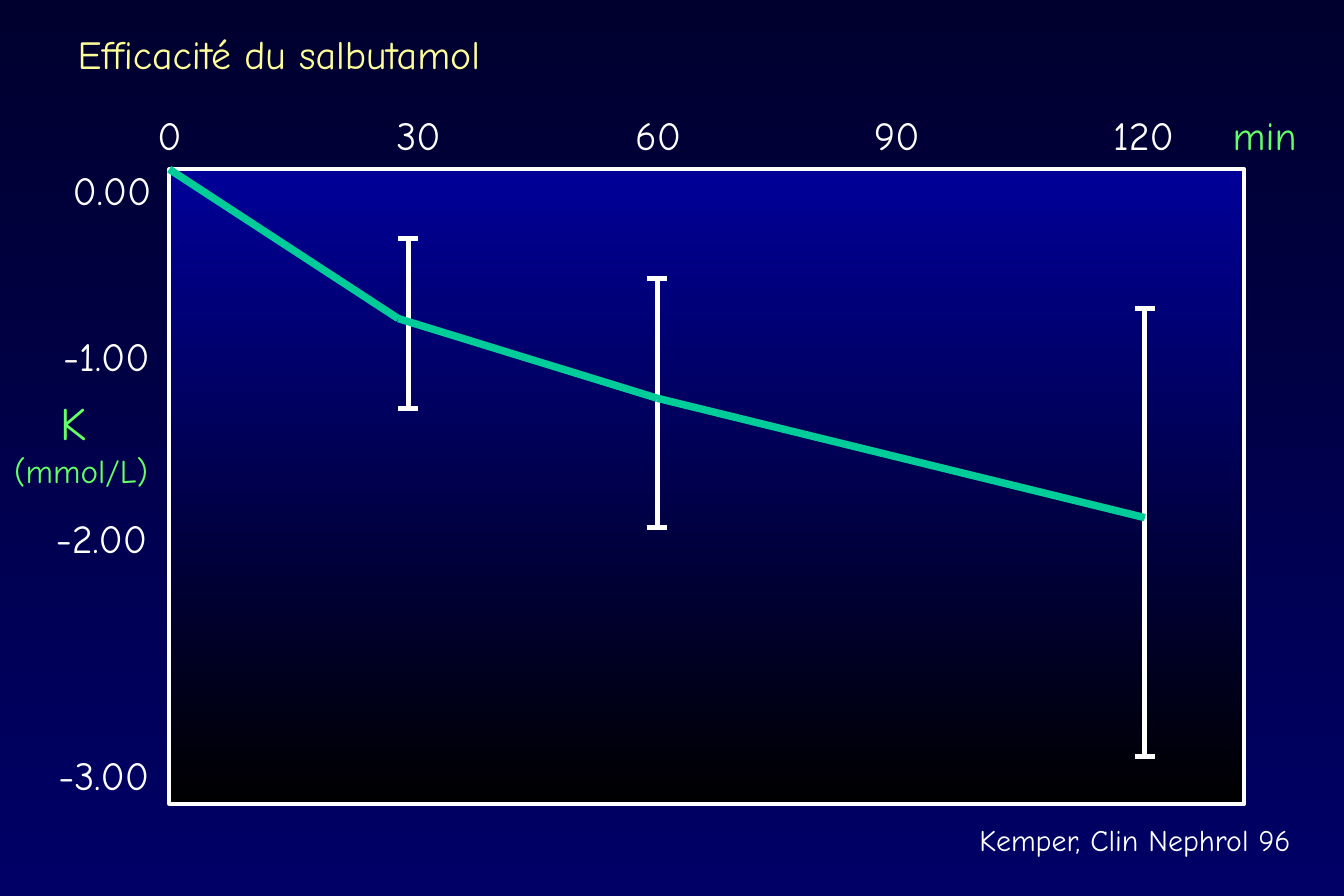
from itertools import pairwise

from lxml import etree
from pptx import Presentation
from pptx.dml.color import RGBColor
from pptx.enum import shapes, text
from pptx.oxml import ns
from pptx.util import Pt

FONT = "Comic Neue"
WHITE, GREEN, TEAL, YELLOW = "FFFFFF", "66FF66", "00CC99", "FFFF99"

TITLE = ("Efficacité du salbutamol", (39.6, 14.4, 258.5, 36))
TIME_LABELS = [("0\t30\t60\t90\t120\t", 24, WHITE), ("min", 24, GREEN)]
TIME_TABS = [144, 288, 432, 576, 648]
LEVELS = [
    ("0.00", 36.7, 96.5, 62),
    ("-1.00", 31, 196.6, 66.2),
    ("-2.00", 26.6, 306, 69.1),
    ("-3.00", 28.1, 448.6, 69.1),
]
UNIT = [("K ", 28, GREEN), ("(mmol/L)", 20, GREEN)]
SOURCE = "Kemper, Clin Nephrol 96"
PLOT = (102, 102, 648, 382.5)
CURVE = [(102, 102), (240, 192), (396, 240), (690, 312)]
ERROR_BARS = [(246, 144, 246), (396, 168, 318), (690, 186, 456)]
CAP = 6


def color(value):
    return RGBColor.from_string(value)


def fill_gradient(fill, top, bottom):
    fill.gradient()
    fill.gradient_angle = 270
    for stop, value in zip(fill.gradient_stops, (top, bottom)):
        stop.color.rgb = color(value)


def write(box, paragraphs, align=text.PP_ALIGN.LEFT, tabs=()):
    frame = box.text_frame
    frame.word_wrap = False
    frame.auto_size = text.MSO_AUTO_SIZE.NONE
    frame.vertical_anchor = text.MSO_ANCHOR.TOP
    for index, spans in enumerate(paragraphs):
        para = frame.add_paragraph() if index else frame.paragraphs[0]
        para.alignment = align
        if tabs:
            tab_list = etree.SubElement(para._p.get_or_add_pPr(), ns.qn("a:tabLst"))
            for position in tabs:
                etree.SubElement(tab_list, ns.qn("a:tab"), pos=str(Pt(position)), algn="l")
        for words, size, value in spans:
            span = para.add_run()
            span.text = words
            span.font.name = FONT
            span.font.size = Pt(size)
            span.font.color.rgb = color(value)


def add_text(page, area, paragraphs, **style):
    write(page.shapes.add_textbox(*map(Pt, area)), paragraphs, **style)


def add_line(page, start, end, value=WHITE, width=3):
    line = page.shapes.add_connector(
        shapes.MSO_CONNECTOR.STRAIGHT, *map(Pt, (*start, *end)))
    line.line.color.rgb = color(value)
    line.line.width = Pt(width)
    etree.SubElement(line._element.spPr, ns.qn("a:effectLst"))


def main():
    deck = Presentation()
    deck.slide_width, deck.slide_height = Pt(810), Pt(540)
    page = deck.slides.add_slide(deck.slide_layouts[5])
    fill_gradient(page.background.fill, "00002F", "000066")

    title_text, title_area = TITLE
    title = page.shapes.title
    title.left, title.top, title.width, title.height = map(Pt, title_area)
    write(title, [[(title_text, 24, YELLOW)]])

    plot = page.shapes.add_shape(shapes.MSO_SHAPE.RECTANGLE, *map(Pt, PLOT))
    plot.shadow.inherit = False
    fill_gradient(plot.fill, "000099", "000000")
    plot.line.color.rgb = color(WHITE)
    plot.line.width = Pt(2.25)

    add_text(page, (87.8, 63.4, 700.6, 36), [TIME_LABELS], tabs=TIME_TABS)
    for label, left, top, width in LEVELS:
        add_text(page, (left, top, width, 36), [[(label, 24, WHITE)]])
    add_text(page, (1.4, 234, 95, 64.8), [[span] for span in UNIT],
             align=text.PP_ALIGN.CENTER)
    add_text(page, (583.2, 491.8, 203.8, 28.8), [[(SOURCE, 18, WHITE)]])

    for x, top, bottom in ERROR_BARS:
        add_line(page, (x, top), (x, bottom))
        for y in (top, bottom):
            add_line(page, (x - CAP, y), (x + CAP, y))
    for start, end in pairwise(CURVE):
        add_line(page, start, end, TEAL, 4.5)

    deck.save("out.pptx")


if __name__ == "__main__":
    main()
